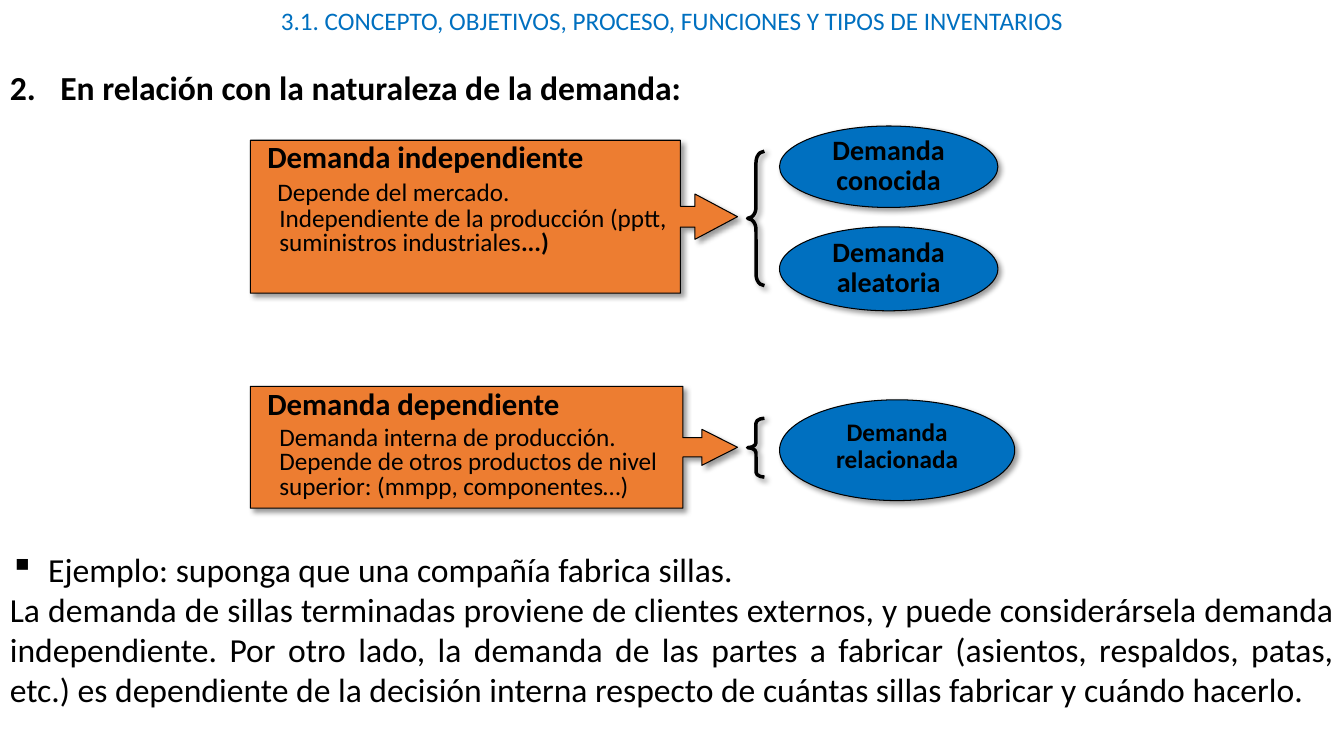
from lxml import etree
from pptx import Presentation
from pptx.dml.color import RGBColor
from pptx.enum.shapes import MSO_SHAPE
from pptx.enum.text import MSO_ANCHOR, PP_ALIGN
from pptx.oxml import parse_xml
from pptx.oxml.ns import nsdecls, qn
from pptx.util import Inches, Pt

CALLOUT, ELLIPSE, BRACE = MSO_SHAPE.RIGHT_ARROW_CALLOUT, MSO_SHAPE.OVAL, MSO_SHAPE.LEFT_BRACE
LEFT, CENTER, JUSTIFY = PP_ALIGN.LEFT, PP_ALIGN.CENTER, PP_ALIGN.JUSTIFY
TOP, MIDDLE = MSO_ANCHOR.TOP, MSO_ANCHOR.MIDDLE
COLS, ROWS = 160, 90
BLACK, BLUE, ORANGE = "000000", "0070C0", "ED7D31"
SHADOW = (
    f'<a:effectLst {nsdecls("a")}><a:outerShdw blurRad="50800" dist="38100" dir="2700000" '
    'algn="tl" rotWithShape="0"><a:srgbClr val="000000"><a:alpha val="40000"/></a:srgbClr>'
    '</a:outerShdw></a:effectLst>'
)


def rgb(value):
    return RGBColor.from_string(value)


class Deck:
    """Slide builder that places elements on a grid of 160 columns by 90 rows."""

    font = "Calibri"

    def __init__(self):
        self.prs = Presentation()
        self.prs.slide_width, self.prs.slide_height = Inches(13.33), Inches(7.5)
        self.s = self.prs.slides.add_slide(self.prs.slide_layouts[6])

    def box(self, col, row, cols, rows):
        w, h = self.prs.slide_width / COLS, self.prs.slide_height / ROWS
        return [round(v) for v in (col * w, row * h, cols * w, rows * h)]

    def text(self, *cell):
        tf = self.s.shapes.add_textbox(*self.box(*cell)).text_frame
        tf.word_wrap = True
        return tf

    def shape(self, kind, *cell, fill=None, line=0.75, adjust=(), anchor=TOP):
        sp = self.s.shapes.add_shape(kind, *self.box(*cell))
        for i, value in enumerate(adjust):
            sp.adjustments[i] = value
        if fill:
            sp.fill.solid()
            sp.fill.fore_color.rgb = rgb(fill)
        else:
            sp.fill.background()
        sp.line.color.rgb = rgb(BLACK)
        sp.line.width = Pt(line)
        sp.shadow.inherit = False
        effects = sp._element.spPr.find(qn("a:effectLst"))
        effects.getparent().replace(effects, parse_xml(SHADOW))
        sp.text_frame.word_wrap = True
        sp.text_frame.vertical_anchor = anchor
        return sp.text_frame

    def para(self, tf, *runs, size, color=BLACK, align=LEFT, spacing=None,
             before=None, indent=0, hang=0, bullet=None):
        p = tf.paragraphs[0] if not tf.paragraphs[0].runs else tf.add_paragraph()
        p.alignment = align
        pPr = p._p.get_or_add_pPr()
        pPr.set("marL", str(Inches(indent)))
        pPr.set("indent", str(-Inches(hang)))
        if bullet:
            tag, attributes = bullet
            etree.SubElement(pPr, qn(tag), attributes)
        if spacing:
            p.line_spacing = spacing
        if before:
            p.space_before = Pt(before)
        for words, bold in runs:
            r = p.add_run()
            r.text = words
            r.font.name, r.font.size, r.font.bold = self.font, Pt(size), bold
            r.font.color.rgb = rgb(color)

    def callout(self, row, rows, adjust, heading, *details):
        tf = self.shape(CALLOUT, 29.8, row, 58, rows, fill=ORANGE, adjust=adjust)
        self.para(tf, (heading, True), size=22, spacing=0.8, indent=0.07)
        for indent, before, runs in details:
            self.para(tf, *runs, size=18, spacing=0.8, before=before, indent=indent)

    def ellipse(self, row, cols, rows, words, size=20, anchor=MIDDLE):
        tf = self.shape(ELLIPSE, 92.8, row, cols, rows, fill=BLUE, anchor=anchor)
        self.para(tf, (words, True), size=size, align=CENTER, spacing=0.9)

    def brace(self, row, rows, curve):
        self.shape(BRACE, 89, row, 2, rows, line=2.5, adjust=(curve, 0.5))


def main():
    deck = Deck()
    heading = deck.text(0, 7.4, 160, 10.9)
    deck.para(heading, ("En relación con la naturaleza de la demanda:", True), size=24,
              align=JUSTIFY, indent=0.5, hang=0.5,
              bullet=("a:buAutoNum", {"type": "arabicPeriod", "startAt": "2"}))
    title = deck.text(0, 0, 160, 4.8)
    deck.para(title, ("3.1. CONCEPTO, OBJETIVOS, PROCESO, FUNCIONES Y TIPOS DE INVENTARIOS", False),
              size=18, color=BLUE, align=CENTER)

    deck.callout(16.7, 18.2, (0.136, 0.148, 0.278, 0.883), "Demanda independiente",
                 (0.17, 5.4, [("Depende del mercado.", False)]),
                 (0.19, 0.9, [("Independiente de la producción (pptt, suministros industriales", False),
                              ("...)", True)]))
    deck.brace(18, 16, 0.667)
    deck.ellipse(15, 26, 9.7, "Demanda conocida")
    deck.ellipse(27, 26, 10, "Demanda aleatoria")

    deck.callout(46, 14.5, (0.158, 0.148, 0.292, 0.888), "Demanda dependiente",
                 (0.19, 4.5, [("Demanda interna de producción. Depende de otros productos de nivel "
                               "superior: (mmpp, componentes…)", False)]))
    deck.brace(49.8, 7, 0.292)
    deck.ellipse(47.6, 28, 12, "Demanda relacionada", size=18, anchor=TOP)

    example = deck.text(0, 64.7, 160, 20.6)
    deck.para(example, ("Ejemplo: suponga que una compañía fabrica sillas.", False), size=24,
              align=JUSTIFY, indent=0.38, hang=0.38, bullet=("a:buChar", {"char": "▪"}))
    deck.para(example, (
        "La demanda de sillas terminadas proviene de clientes externos, y puede considerársela "
        "demanda independiente. Por otro lado, la demanda de las partes a fabricar (asientos, "
        "respaldos, patas, etc.) es dependiente de la decisión interna respecto de cuántas "
        "sillas fabricar y cuándo hacerlo.", False), size=24, align=JUSTIFY)
    deck.prs.save("out.pptx")


if __name__ == "__main__":
    main()
